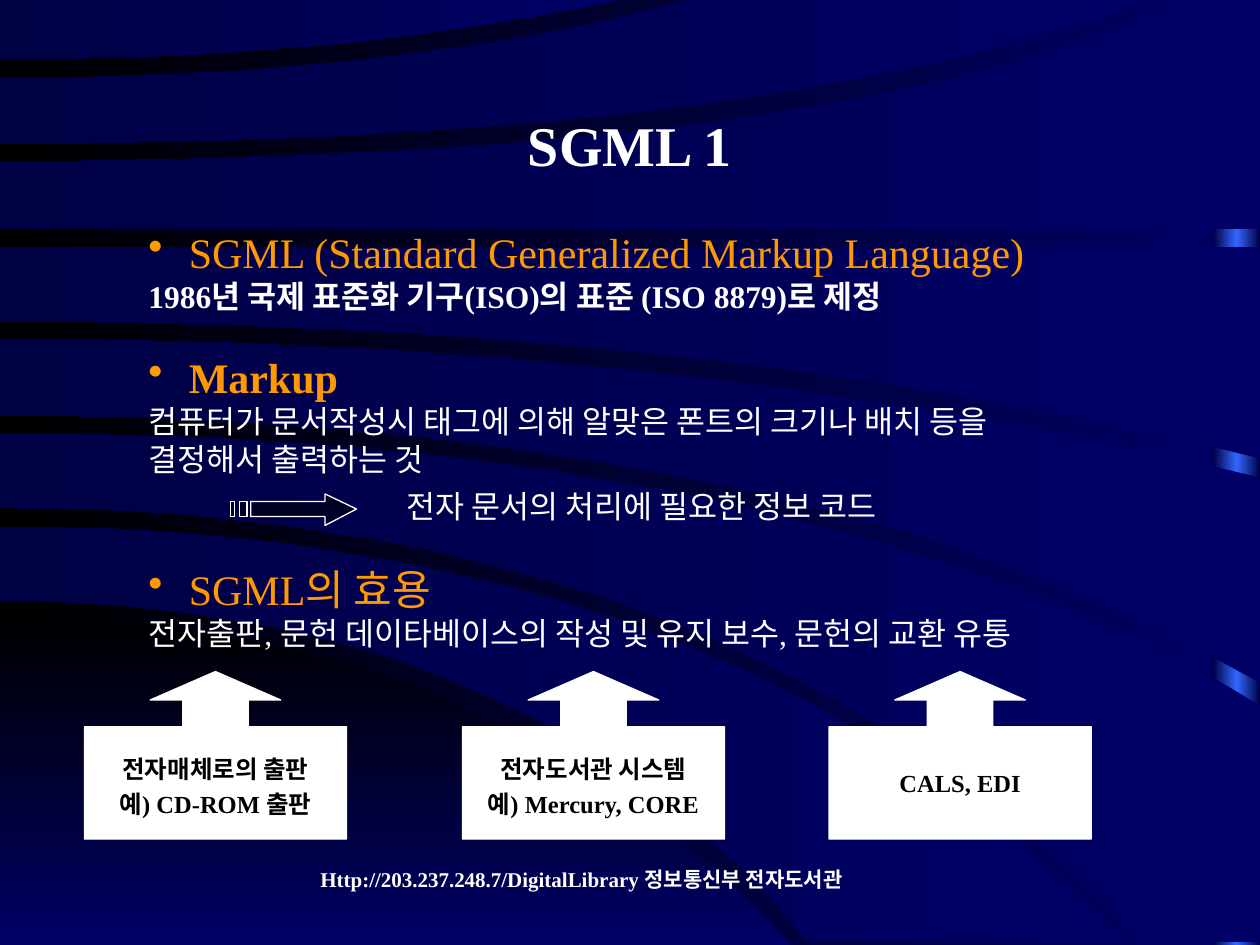
from copy import deepcopy

from pptx import Presentation
from pptx.dml.color import RGBColor
from pptx.enum.shapes import MSO_SHAPE
from pptx.enum.text import MSO_ANCHOR, MSO_AUTO_SIZE, PP_ALIGN
from pptx.oxml.ns import qn
from pptx.oxml.xmlchemy import OxmlElement
from pptx.util import Pt

SCALE = 9144  # EMU per px, 100 px to the inch
WIDTH, HEIGHT = 1000, 750

NAVY = RGBColor(0x00, 0x00, 0x66)
DEEP = RGBColor(0x00, 0x00, 0x44)
BLUE = RGBColor(0x33, 0x66, 0xFF)
BLACK = RGBColor(0x00, 0x00, 0x00)
WHITE = RGBColor(0xFF, 0xFF, 0xFF)
ORANGE = RGBColor(0xFF, 0x99, 0x00)

FONT = "Times New Roman"
CENTER, LEFT = PP_ALIGN.CENTER, PP_ALIGN.LEFT
TOP, MIDDLE = MSO_ANCHOR.TOP, MSO_ANCHOR.MIDDLE
RECTANGLE, CALLOUT = MSO_SHAPE.RECTANGLE, MSO_SHAPE.UP_ARROW_CALLOUT
NO_FIT = MSO_AUTO_SIZE.NONE

# Each edge leaves the left side level: start y, x of the bend, end x, end y
CORNER = ((491, 397, 628, 750), (750, 314, 628, 750))
BANDS = [  # upper edge, lower edge, corners between their right ends
    ((418, 580, 893, 748), (477, 420, 642, 748), []),
    ((344, 640, 1000, 560), (403, 588, 909, 748), [(1000, 748)]),
    ((269, 546, 1000, 379), (330, 630, 1000, 542), []),
    ((196, 500, 1000, 196), (255, 566, 1000, 364), []),
    ((128, 675, 943, -2), (182, 500, 1000, 182), [(1000, -2)]),
    ((62, 322, 556, -2), (114, 615, 917, -2), []),
    ((-2, 250, 501, -2), (47, 280, 501, -2), []),
]
STEPS = 24

HEADING = {"size": Pt(24), "color": ORANGE, "bullet": True}
BODY = {"size": Pt(18), "color": WHITE}
CONTENT = [
    ("SGML (Standard Generalized Markup Language)", HEADING),
    ("1986년 국제 표준화 기구(ISO)의 표준 (ISO 8879)로 제정", {**BODY, "bold": True}),
    ("Markup", {**HEADING, "bold": True, "space_before": Pt(21)}),
    ("컴퓨터가 문서작성시 태그에 의해 알맞은 폰트의 크기나 배치 등을 결정해서 출력하는 것", BODY),
    ("전자 문서의 처리에 필요한 정보 코드",
     {**BODY, "indent": 205, "space_before": Pt(5.5), "space_after": Pt(1)}),
    ("SGML의 효용", {**HEADING, "space_before": Pt(21)}),
    ("전자출판, 문헌 데이타베이스의 작성 및 유지 보수, 문헌의 교환 유통", BODY),
]
USES = [  # left edge, lines, line spacing
    (67, ["전자매체로의 출판", "예) CD-ROM 출판"], 1.2),
    (367, ["전자도서관 시스템", "예) Mercury, CORE"], 1.2),
    (658, ["CALS, EDI"], 1.0),
]


def px(*lengths):
    return [round(length * SCALE) for length in lengths]


def set_all(target, values):
    for name, value in values.items():
        setattr(target, name, value)


def paint_gradient(fill, first, last, angle=180):
    fill.gradient()
    fill.gradient_angle = angle
    for stop, position, color in zip(fill.gradient_stops, (0, 1), (first, last)):
        stop.position = position
        stop.color.rgb = color


def trace_edge(start_y, bend_x, end_x, end_y):
    """Points of a quadratic curve that starts level at the left side."""
    points = []
    for step in range(STEPS + 1):
        part = step / STEPS
        points.append((2 * part * (1 - part) * bend_x + part ** 2 * end_x,
                       start_y + part ** 2 * (end_y - start_y)))
    return points


def add_outline(page, *contours):
    x, y = contours[0][0]
    builder = page.shapes.build_freeform(x, y, scale=SCALE)
    for index, points in enumerate(contours):
        if index:
            builder.move_to(*points[0])
        builder.add_line_segments(points[1:], close=True)
    shape = builder.convert_to_shape()
    shape.shadow.inherit = False
    return shape


def add_band(page, upper, lower, corners=(), colors=(NAVY, DEEP), angle=180):
    points = [*trace_edge(*upper), *corners, *reversed(trace_edge(*lower))]
    band = add_outline(page, points)
    band.line.fill.background()
    paint_gradient(band.fill, *colors, angle=angle)


def add_bullet(para, color, hang):
    props = para._p.get_or_add_pPr()
    margin, = px(hang)
    props.set("marL", str(margin))
    props.set("indent", str(-margin))
    bullet_color = OxmlElement("a:buClr")
    value = OxmlElement("a:srgbClr")
    value.set("val", str(color))
    bullet_color.append(value)
    mark = OxmlElement("a:buChar")
    mark.set("char", "•")
    props.extend([bullet_color, mark])


def write(frame, lines, anchor=TOP, align=LEFT, wrap=False, spacing=1.0):
    set_all(frame, {"auto_size": NO_FIT, "word_wrap": wrap, "vertical_anchor": anchor})
    for index, (text, style) in enumerate(lines):
        para = frame.add_paragraph() if index else frame.paragraphs[0]
        if style.get("bullet"):
            add_bullet(para, style["color"], hang=32)
        if "indent" in style:
            para._p.get_or_add_pPr().set("marL", str(px(style["indent"])[0]))
        set_all(para, {"alignment": align, "line_spacing": spacing,
                       "space_before": style.get("space_before", Pt(0)),
                       "space_after": style.get("space_after", Pt(0))})
        span = para.add_run()
        span.text = text
        set_all(span.font, {"name": FONT, "size": style["size"],
                            "bold": style.get("bold", False)})
        span.font.color.rgb = style["color"]


def add_backdrop(page):
    paint_gradient(page.background.fill, NAVY, BLACK)
    # Glowing strip at the right edge, with a bright middle stop
    strip = page.shapes.add_shape(RECTANGLE, *px(963, 0, 37, HEIGHT))
    strip.shadow.inherit = False
    strip.line.fill.background()
    paint_gradient(strip.fill, DEEP, DEEP)
    first = strip._element.spPr.find(qn("a:gradFill")).find(qn("a:gsLst"))[0]
    first.addnext(deepcopy(first))
    middle = strip.fill.gradient_stops[1]
    middle.position = 0.5
    middle.color.rgb = BLUE
    # Curved bands
    add_band(page, *CORNER, colors=(BLACK, NAVY), angle=270)
    for band in BANDS:
        add_band(page, *band)


def add_title(page, box):
    title = page.shapes.title
    page.shapes._spTree.append(title._element)  # in front of the backdrop
    set_all(title, dict(zip(("left", "top", "width", "height"), px(*box))))
    write(title.text_frame, [("SGML 1", {"size": Pt(32), "color": WHITE, "bold": True})],
          align=CENTER)


def add_text(page, box, lines, **layout):
    write(page.shapes.add_textbox(*px(*box)).text_frame, lines, **layout)


def add_striped_arrow(page, left, top, width, height):
    right, bottom, middle = left + width, top + height, top + height / 2
    neck, upper, lower = right - 25, top + 6, bottom - 7
    head = [(left + 16, upper), (neck, upper), (neck, top), (right, middle),
            (neck, bottom), (neck, lower), (left + 16, lower)]
    stripes = [[(start, upper), (end, upper), (end, lower), (start, lower)]
               for start, end in ((left, left + 3), (left + 7, left + 13))]
    arrow = add_outline(page, head, *stripes)
    arrow.fill.solid()
    arrow.fill.fore_color.rgb = BLACK
    alpha = OxmlElement("a:alpha")
    alpha.set("val", "50000")
    arrow._element.spPr.find(qn("a:solidFill"))[0].append(alpha)
    arrow.line.color.rgb = WHITE
    arrow.line.width = Pt(0.75)


def add_use(page, box, lines, spacing):
    callout = page.shapes.add_shape(CALLOUT, *px(*box))
    callout.shadow.inherit = False
    for index, value in enumerate((0.39, 0.39, 0.17, 0.67)):
        callout.adjustments[index] = value
    callout.fill.solid()
    callout.fill.fore_color.rgb = WHITE
    callout.line.color.rgb = WHITE
    callout.line.width = Pt(0.75)
    style = {"size": Pt(14), "color": BLACK, "bold": True}
    write(callout.text_frame, [(line, style) for line in lines],
          anchor=MIDDLE, align=CENTER, spacing=spacing)


def main():
    deck = Presentation()
    deck.slide_width, deck.slide_height = px(WIDTH, HEIGHT)
    page = deck.slides.add_slide(deck.slide_layouts.get_by_name("Title Only"))
    add_backdrop(page)
    add_title(page, (408, 83, 184, 64))
    add_text(page, (108, 175, 777, 350), CONTENT, wrap=True)
    add_striped_arrow(page, 183, 392, 100, 25)
    for left, lines, spacing in USES:
        add_use(page, (left, 533, 208, 133), lines, spacing)
    source = "Http://203.237.248.7/DigitalLibrary 정보통신부 전자도서관"
    add_text(page, (242, 683, 439, 30), [(source, {**BODY, "size": Pt(12), "bold": True})],
             anchor=MIDDLE, align=CENTER)
    deck.save("out.pptx")


if __name__ == "__main__":
    main()
